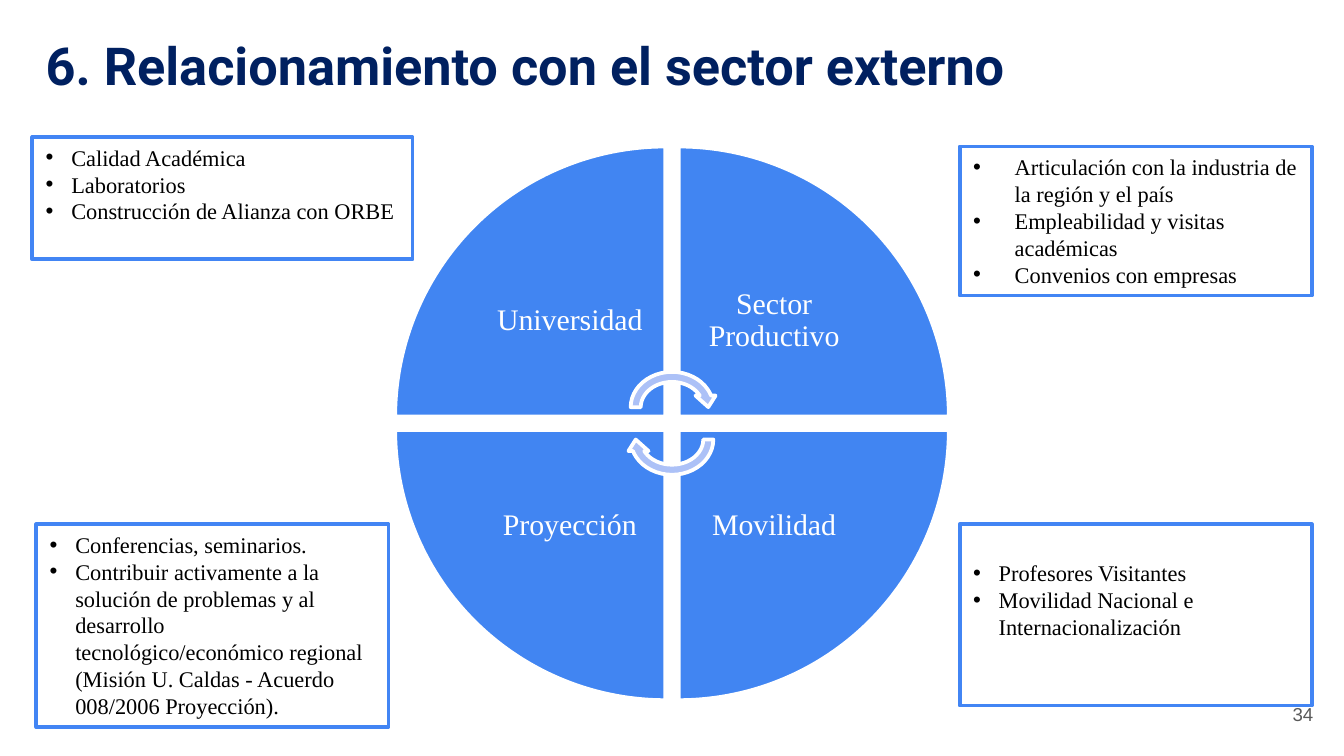
from dataclasses import dataclass
from typing import Optional

from lxml import etree
from pptx import Presentation
from pptx.dml.color import RGBColor
from pptx.enum import shapes, text
from pptx.oxml import ns
from pptx.util import Inches, Pt

COLORS = {"navy": "002060", "wedge": "4185F2", "border": "4285F4", "arrow": "ACC1F7",
          "white": "FFFFFF", "black": "000000", "gray": "595959"}
SERIF = "Times New Roman"
ALIGN, ANCHOR = text.PP_ALIGN, text.MSO_ANCHOR

# Wheel geometry, in inches
CENTER_X, CENTER_Y = 5.0, 3.15
RADIUS, HALF_GAP = 2.01, 0.05
LABEL = 1.42
ARROW_W, ARROW_H, ARROW_SHIFT = 0.69, 0.6, 0.12


@dataclass
class Quadrant:
    label: str
    right: bool
    bottom: bool
    rotation: int


@dataclass
class ListBox:
    idx: int
    left: float
    top: float
    width: float
    height: float
    items: list[str]
    indent: float = 0.19
    inset_top: float = 0.05


QUADRANTS = [
    Quadrant("Universidad", False, False, 0),
    Quadrant("Sector Productivo", True, False, 90),
    Quadrant("Movilidad", True, True, 180),
    Quadrant("Proyección", False, True, 270),
]

LISTS = [
    ListBox(1, 0.24, 1.02, 2.83, 0.91,
            ["Calidad Académica", "Laboratorios", "Construcción de Alianza con ORBE"]),
    ListBox(2, 7.14, 1.09, 2.62, 1.11,
            ["Articulación con la industria de la región y el país",
             "Empleabilidad y visitas académicas", "Convenios con empresas"], indent=0.31),
    ListBox(3, 0.27, 3.9, 2.62, 1.51,
            ["Conferencias, seminarios.",
             "Contribuir activamente a la solución de problemas y al desarrollo "
             "tecnológico/económico regional (Misión U. Caldas - Acuerdo 008/2006 Proyección)."]),
    ListBox(4, 7.14, 3.9, 2.62, 1.35,
            ["Profesores Visitantes", "Movilidad Nacional e Internacionalización"],
            inset_top=0.26),
]


def rgb(name: str) -> RGBColor:
    return RGBColor.from_string(COLORS[name])


def place(sp, left: float, top: float, width: float, height: float) -> None:
    sp.left, sp.top = Inches(left), Inches(top)
    sp.width, sp.height = Inches(width), Inches(height)


def paint(sp, fill: str, line: str) -> None:
    sp.fill.solid()
    sp.fill.fore_color.rgb = rgb(fill)
    sp.line.color.rgb = rgb(line)
    sp.line.width = Pt(2)


def add_bullet(p, indent: float) -> None:
    pPr = p._p.get_or_add_pPr()
    pPr.set("marL", str(Inches(indent)))
    pPr.set("indent", str(-Inches(indent)))
    color = etree.SubElement(pPr, ns.qn("a:buClr"))
    etree.SubElement(color, ns.qn("a:srgbClr"), val=COLORS["black"])
    etree.SubElement(pPr, ns.qn("a:buFont"), typeface="Arial")
    etree.SubElement(pPr, ns.qn("a:buChar"), char="•")


def write(sp, lines: list[str], *, size: float, font: str = SERIF, color: str = "black",
          bold: bool = False, align=ALIGN.LEFT, anchor=ANCHOR.TOP, inset: float = 0.1,
          inset_y: Optional[tuple[float, float]] = None, spacing: float = 1.0,
          indent: Optional[float] = None) -> None:
    """Fill a shape with one paragraph per line; an indent makes them bullets."""
    tf = sp.text_frame
    tf.word_wrap = True
    tf.auto_size = text.MSO_AUTO_SIZE.NONE
    tf.vertical_anchor = anchor
    tf.margin_left = tf.margin_right = Inches(inset)
    tf.margin_top, tf.margin_bottom = (Inches(v) for v in inset_y or (inset, inset))
    for i, line in enumerate(lines):
        p = tf.paragraphs[0] if i == 0 else tf.add_paragraph()
        if indent is not None:
            add_bullet(p, indent)
        p.alignment = align
        p.line_spacing = spacing
        p.space_before = Pt(0)
        r = p.add_run()
        r.text = line
        r.font.name, r.font.size, r.font.bold = font, Pt(size), bold
        r.font.color.rgb = rgb(color)


def add_figure(s, kind, left: float, top: float, width: float, height: float,
               fill: str, rotation: int) -> None:
    sp = s.shapes.add_shape(kind, Inches(left), Inches(top), Inches(width), Inches(height))
    sp.shadow.inherit = False
    sp.rotation = rotation
    paint(sp, fill, "white")


def add_quadrant(s, q: Quadrant) -> None:
    def corner(size: float) -> tuple[float, float]:
        return (CENTER_X + (HALF_GAP if q.right else -HALF_GAP - size),
                CENTER_Y + (HALF_GAP if q.bottom else -HALF_GAP - size))

    add_figure(s, shapes.MSO_SHAPE.PIE_WEDGE, *corner(RADIUS), RADIUS, RADIUS,
               "wedge", q.rotation)
    left, top = corner(LABEL)
    box = s.shapes.add_textbox(Inches(left), Inches(top), Inches(LABEL), Inches(LABEL))
    write(box, [q.label], size=16, color="white", align=ALIGN.CENTER,
          anchor=ANCHOR.MIDDLE, inset=0.12, spacing=0.9)


def fill_list(s, item: ListBox) -> None:
    sp = s.placeholders[item.idx]
    place(sp, item.left, item.top, item.width, item.height)
    paint(sp, "white", "border")
    write(sp, item.items, size=12, inset_y=(item.inset_top, 0.05), indent=item.indent)


def main() -> None:
    prs = Presentation()
    # 16:9 slide, ten inches wide
    prs.slide_width = Inches(10)
    prs.slide_height = prs.slide_width * 9 // 16
    # The "Comparison" layout has a title and four body placeholders
    s = prs.slides.add_slide(prs.slide_layouts[4])

    # Title
    title = s.shapes.title
    place(title, 0.24, 0.15, 9.32, 0.67)
    write(title, ["6. Relacionamiento con el sector externo"], size=28, font="Roboto",
          color="navy", bold=True)

    # Lists in the corners
    for item in LISTS:
        fill_list(s, item)

    # Wheel with its two turning arrows
    for q in QUADRANTS:
        add_quadrant(s, q)
    for shift, rotation in ((-ARROW_SHIFT, 0), (ARROW_SHIFT, 180)):
        add_figure(s, shapes.MSO_SHAPE.CIRCULAR_ARROW, CENTER_X - ARROW_W / 2,
                   CENTER_Y + shift - ARROW_H / 2, ARROW_W, ARROW_H, "arrow", rotation)

    # Slide number
    number = s.shapes.add_textbox(Inches(9.27), Inches(5.1), Inches(0.6), Inches(0.43))
    write(number, ["34"], size=10, font="Arial", color="gray", align=ALIGN.RIGHT,
          anchor=ANCHOR.MIDDLE)

    prs.save("out.pptx")


if __name__ == "__main__":
    main()
